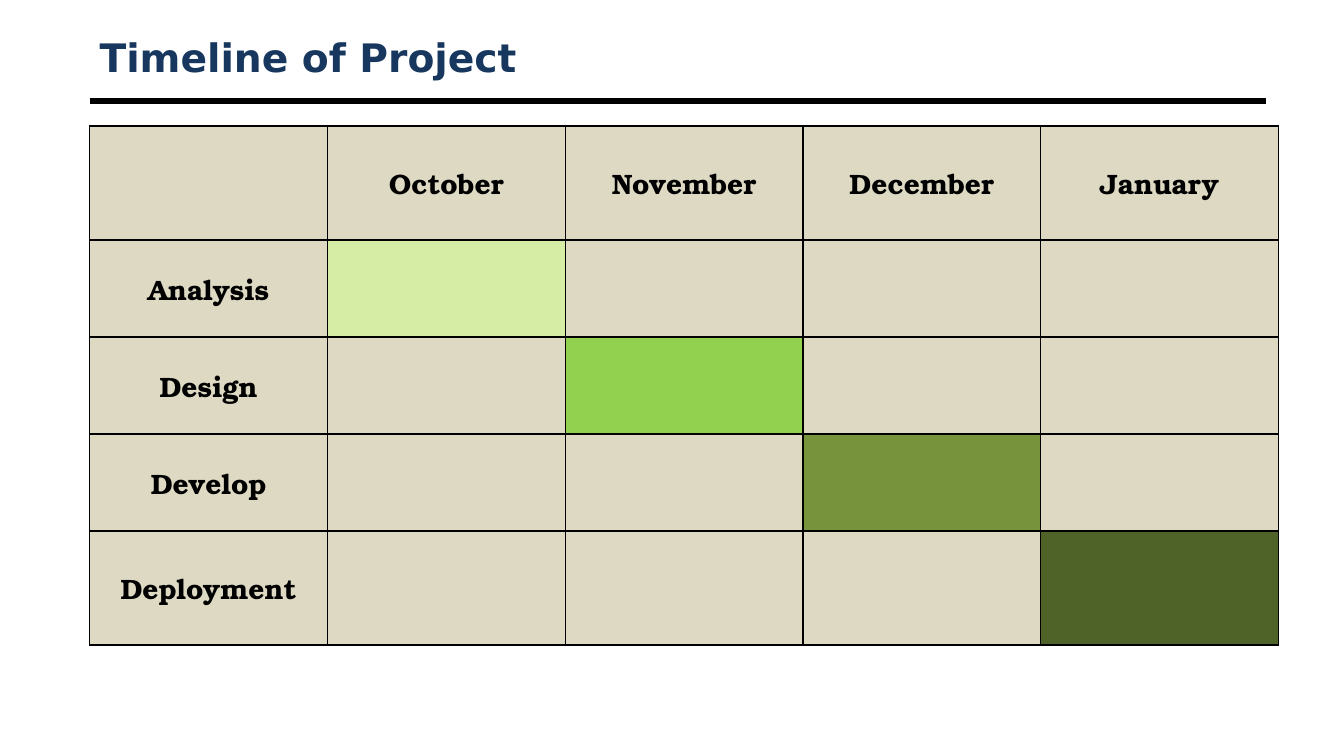
from dataclasses import dataclass

from lxml import etree
from pptx import Presentation
from pptx import util as u
from pptx.dml.color import RGBColor
from pptx.enum import shapes, text
from pptx.oxml import ns


@dataclass(frozen=True)
class Theme:
    title_font: str = "DejaVu Sans"
    table_font: str = "TeX Gyre Bonum"
    title_size: int = 28
    table_size: int = 20
    rule_width: float = 4.5
    border_width: float = 1
    title: str = "17375E"
    ink: str = "000000"
    cell: str = "DDD9C3"


THEME = Theme()
MONTHS = ["October", "November", "December", "January"]
# Each phase takes one month, in order
PHASES = {
    "Analysis": "D5EDA4",
    "Design": "92D050",
    "Develop": "77933C",
    "Deployment": "4F6228",
}
ROW_HEIGHTS = [1.13, 0.96, 0.96, 0.96, 1.13]


def write(frame, words, font, size, color, align):
    paragraph = frame.paragraphs[0]
    paragraph.alignment = align
    run = paragraph.add_run()
    run.text = words
    for name, value in {"name": font, "size": u.Pt(size), "bold": True}.items():
        setattr(run.font, name, value)
    run.font.color.rgb = RGBColor.from_string(color)


def add_heading(slide, left, top, width, height):
    """Title with a thick rule a little below it."""
    frame = slide.shapes.add_textbox(
        *map(u.Inches, (left, top, width, height))).text_frame
    frame.word_wrap = True
    frame.vertical_anchor = text.MSO_ANCHOR.MIDDLE
    write(frame, "Timeline of Project", THEME.title_font, THEME.title_size,
          THEME.title, text.PP_ALIGN.LEFT)

    rule_y = top + height + 0.17
    rule = slide.shapes.add_connector(
        shapes.MSO_CONNECTOR.STRAIGHT,
        *map(u.Inches, (left, rule_y, left + width, rule_y)))
    rule.line.width = u.Pt(THEME.rule_width)
    rule.line.color.rgb = RGBColor.from_string(THEME.ink)
    etree.SubElement(rule._element.spPr, ns.qn("a:effectLst"))


def add_borders(cell):
    properties = cell._tc.get_or_add_tcPr()
    for position, side in enumerate(("lnL", "lnR", "lnT", "lnB")):
        border = etree.Element(ns.qn(f"a:{side}"),
                               w=str(u.Pt(THEME.border_width)))
        fill = etree.SubElement(border, ns.qn("a:solidFill"))
        etree.SubElement(fill, ns.qn("a:srgbClr"), val=THEME.ink)
        properties.insert(position, border)


def add_timeline(slide, left, top, width, height):
    labels = ["", *MONTHS]
    rows = [labels] + [[phase] + [""] * len(MONTHS) for phase in PHASES]
    fills = ["", *PHASES.values()]
    table = slide.shapes.add_table(
        len(rows), len(labels),
        *map(u.Inches, (left, top, width, height))).table
    for column in table.columns:
        column.width = u.Inches(width / len(labels))
    for row, share in zip(table.rows, ROW_HEIGHTS):
        row.height = u.Inches(height * share / sum(ROW_HEIGHTS))

    for r, words_in_row in enumerate(rows):
        for c, words in enumerate(words_in_row):
            cell = table.cell(r, c)
            cell.fill.solid()
            cell.fill.fore_color.rgb = RGBColor.from_string(
                fills[r] if r == c and r else THEME.cell)
            cell.vertical_anchor = text.MSO_ANCHOR.MIDDLE
            add_borders(cell)
            if words:
                write(cell.text_frame, words, THEME.table_font,
                      THEME.table_size, THEME.ink, text.PP_ALIGN.CENTER)


def main():
    deck = Presentation()
    deck.slide_width, deck.slide_height = u.Inches(13.33), u.Inches(7.5)
    slide = deck.slides.add_slide(deck.slide_layouts[6])
    add_heading(slide, 0.89, 0.3, 11.67, 0.53)
    add_timeline(slide, 0.89, 1.25, 11.79, 5.15)
    deck.save("out.pptx")


if __name__ == "__main__":
    main()
